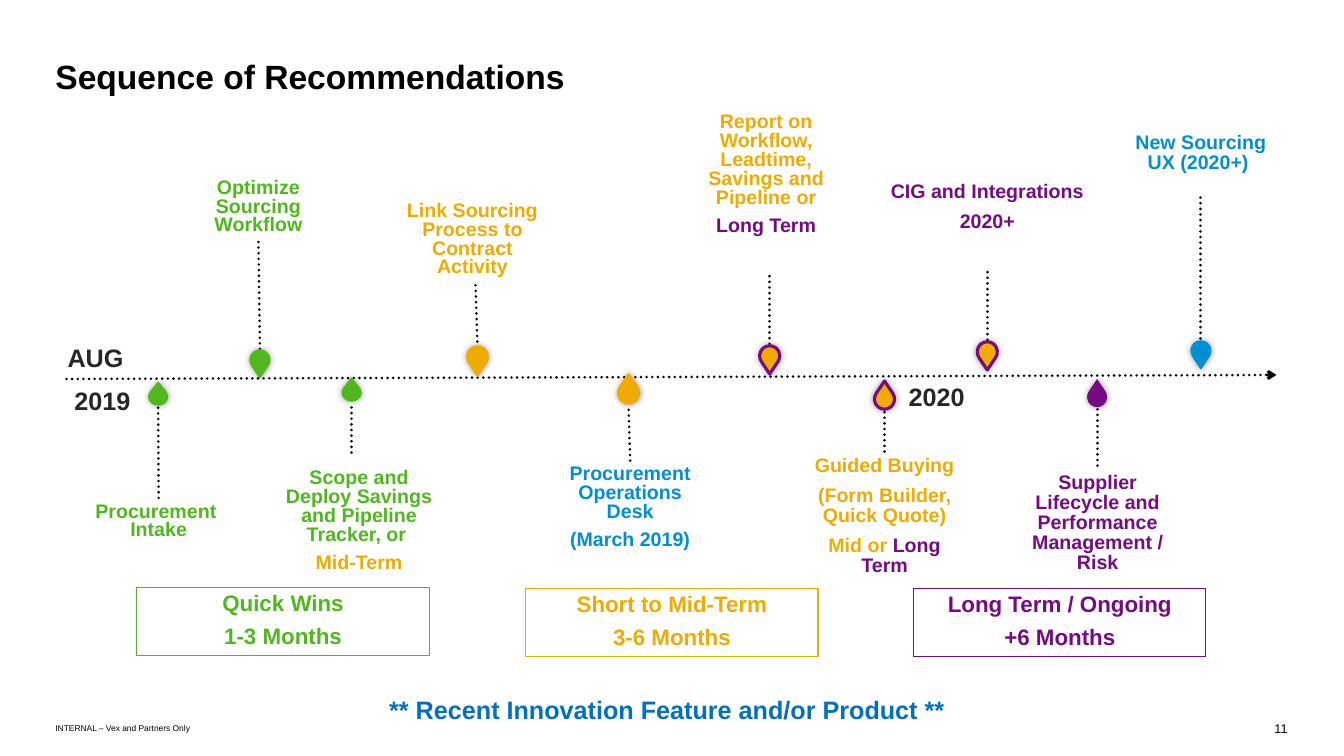
import math
from dataclasses import dataclass

from lxml import etree
from pptx import Presentation, util as u
from pptx.dml.color import RGBColor
from pptx.enum import dml, shapes, text
from pptx.oxml.ns import qn


@dataclass(frozen=True)
class Theme:
    font: str = "Arial"
    green: str = "4FB81C"
    gold: str = "F0AB00"
    purple: str = "760A85"
    blue: str = "008FD3"
    note: str = "0070C0"
    dark: str = "262626"
    black: str = "000000"
    white: str = "FFFFFF"
    title: int = 24
    heading: int = 18
    term: int = 16
    label: int = 14
    number: int = 9
    footer: int = 6


@dataclass
class Milestone:
    """A label box, the start of its dotted line (None: the box side), and its pin."""
    paragraphs: list
    box: tuple
    spacing: float
    start: tuple
    end: tuple
    tip: tuple
    size: tuple
    fill: str
    outline: str
    weight: float
    above: bool
    background: str = None


THEME = Theme()
GREEN, GOLD, PURPLE, BLUE = THEME.green, THEME.gold, THEME.purple, THEME.blue
PX = 9144  # 100 px to the inch
LARGE, SMALL = (20, 28), (19, 23)
INSET = (10, 5, 10, 5)
NO_INSET = (0, 0, 0, 0)

MILESTONES = [
    Milestone([[("Optimize Sourcing Workflow", GREEN)]], (190, 173, 133, 67), 0.8,
              None, (258, 347), (258, 375), LARGE, GREEN, GREEN, 0.75, True),
    Milestone([[("Link Sourcing Process to Contract Activity", GOLD)]], (394, 196, 150, 116), 0.8,
              (472, 283), (474, 344), (474, 372), LARGE, GOLD, GOLD, 2, True),
    Milestone([[("Report on Workflow, Leadtime, Savings and Pipeline or", GOLD)],
               [("Long Term", PURPLE)]], (682, 108, 157, 166), 0.8,
              (764, 274), (764, 343), (764, 371), LARGE, GOLD, PURPLE, 2.25, True, THEME.white),
    Milestone([[("CIG and Integrations", PURPLE)], [("2020+", PURPLE)]], (854, 176, 252, 94), 0.85,
              None, (980, 339), (980, 367), LARGE, GOLD, PURPLE, 2.25, True),
    Milestone([[("New Sourcing UX (2020+) ", BLUE)]], (1110, 128, 164, 50), 0.85,
              (1192, 196), (1192, 336), (1192, 366), LARGE, BLUE, BLUE, 0.75, True),
    Milestone([[("Procurement \vIntake", GREEN)]], (72, 494, 171, 78), 0.8,
              None, (157, 402), (157, 379), SMALL, GREEN, GREEN, 0.75, False),
    Milestone([[("Scope and Deploy Savings and Pipeline Tracker, or ", GREEN)],
               [("Mid-Term", GOLD)]], (273, 461, 167, 116), 0.8,
              (349, 449), (349, 402), (349, 375), SMALL, GREEN, GREEN, 0.75, False),
    Milestone([[("Procurement Operations Desk", BLUE)], [("(March 2019)", BLUE)]],
              (542, 457, 167, 128), 0.8,
              None, (624, 406), (624, 372), LARGE, GOLD, GOLD, 2.25, False),
    Milestone([[("Guided Buying", GOLD)], [("(Form Builder, Quick Quote)", GOLD)],
               [("Mid or ", GOLD), ("Long Term", PURPLE)]], (797, 448, 162, 134), 0.85,
              None, (878, 406), (878, 378), LARGE, GOLD, PURPLE, 2.25, False),
    Milestone([[("Supplier Lifecycle and Performance Management / Risk", PURPLE)]],
              (1004, 465, 171, 110), 0.85,
              (1089, 462), (1089, 406), (1089, 376), LARGE, PURPLE, None, 0, False),
]
TERMS = [("Quick Wins", "1-3 Months", GREEN, (136, 583)),
         ("Short to Mid-Term", "3-6 Months", GOLD, (522, 584)),
         ("Long Term / Ongoing", "+6 Months", PURPLE, (907, 584))]
TERM_SIZE = (290, 67)


def px(*values):
    return [u.Emu(round(value * PX)) for value in values]


def rgb(value):
    return RGBColor.from_string(value)


def set_half_line_before(paragraph):
    paragraph.space_before = u.Pt(0)
    before = paragraph._p.pPr.find(qn("a:spcBef"))
    before.remove(before[0])
    etree.SubElement(before, qn("a:spcPct"), val="50000")


def write(shape, paragraphs, size=THEME.label, bold=True, aligns=("CENTER",), spacing=1.0,
          anchor="TOP", inset=INSET, wrap=True):
    """Fill a shape with paragraphs, each a list of (text, colour) runs."""
    frame = shape.text_frame
    frame.word_wrap = wrap
    frame.auto_size = text.MSO_AUTO_SIZE.NONE
    frame.vertical_anchor = text.MSO_ANCHOR[anchor]
    frame.margin_left, frame.margin_top, frame.margin_right, frame.margin_bottom = px(*inset)
    for index, runs in enumerate(paragraphs):
        paragraph = frame.add_paragraph() if index else frame.paragraphs[0]
        paragraph.alignment = text.PP_ALIGN[aligns[index % len(aligns)]]
        paragraph.line_spacing = spacing
        set_half_line_before(paragraph)
        for words, color in runs:
            for position, line in enumerate(words.split("\v")):
                if position:
                    paragraph.add_line_break()
                run = paragraph.add_run()
                run.text = line
                run.font.name, run.font.size, run.font.bold = THEME.font, u.Pt(size), bold
                run.font.color.rgb = rgb(color)


def add_label(slide, box, paragraphs, **style):
    shape = slide.shapes.add_textbox(*px(*box))
    write(shape, paragraphs, **style)
    return shape


def add_box(slide, box, paragraphs, fill=None, outline=None, **style):
    shape = slide.shapes.add_shape(shapes.MSO_SHAPE.RECTANGLE, *px(*box))
    paint(shape, fill, outline, 0.75)
    write(shape, paragraphs, **style)
    return shape


def paint(shape, fill, outline, weight):
    shape.shadow.inherit = False
    if fill:
        shape.fill.solid()
        shape.fill.fore_color.rgb = rgb(fill)
    else:
        shape.fill.background()
    if outline:
        shape.line.color.rgb = rgb(outline)
        shape.line.width = u.Pt(weight)
    else:
        shape.line.fill.background()


def add_dotted_line(slide, start, end, arrow=False):
    line = slide.shapes.add_connector(shapes.MSO_CONNECTOR.STRAIGHT, *px(*start, *end))
    line.line.color.rgb = rgb(THEME.black)
    line.line.width = u.Pt(2)
    line.line.dash_style = dml.MSO_LINE.ROUND_DOT
    outline = line.line._get_or_add_ln()
    outline.set("cap", "rnd")
    if arrow:
        etree.SubElement(outline, qn("a:tailEnd"), type="arrow")
    etree.SubElement(line._element.spPr, qn("a:effectLst"))
    return line


def add_pin(slide, milestone):
    """Draw a drop: a circle with two tangents that meet at the tip."""
    (x, y), (width, height) = milestone.tip, milestone.size
    direction = -1 if milestone.above else 1
    center, radius = 0.64, 0.36  # shares of the height
    tangent = math.acos(radius / center)
    steps = 12
    points = []
    for step in range(steps + 1):
        angle = tangent + (2 * math.pi - 2 * tangent) * step / steps
        points.append(px(x + width / 2 * math.sin(angle),
                         y + direction * height * (center - radius * math.cos(angle))))
    builder = slide.shapes.build_freeform(*px(x, y))
    builder.add_line_segments(points, close=True)
    pin = builder.convert_to_shape()
    paint(pin, milestone.fill, milestone.outline, milestone.weight)
    effects = pin._element.spPr.find(qn("a:effectLst"))
    shadow = etree.SubElement(effects, qn("a:outerShdw"), blurRad=str(u.Pt(5)), dist="0", dir="0")
    color = etree.SubElement(shadow, qn("a:srgbClr"), val=THEME.black)
    etree.SubElement(color, qn("a:alpha"), val="40000")


def add_milestone(slide, milestone):
    style = dict(spacing=milestone.spacing)
    if milestone.background:
        label = add_box(slide, milestone.box, milestone.paragraphs,
                        fill=milestone.background, **style)
    else:
        label = add_label(slide, milestone.box, milestone.paragraphs, **style)
    line = add_dotted_line(slide, milestone.start or milestone.end, milestone.end)
    if milestone.start is None:
        line.begin_connect(label, 2 if milestone.above else 0)
    add_pin(slide, milestone)


def main():
    presentation = Presentation()
    presentation.slide_width, presentation.slide_height = px(1334, 750)
    slide = presentation.slides.add_slide(presentation.slide_layouts[5])

    title = slide.shapes.title
    title.left, title.top, title.width, title.height = px(55, 55, 1223, 40)
    write(title, [[("Sequence of Recommendations", THEME.black)]], size=THEME.title,
          aligns=("LEFT",), inset=NO_INSET)

    year = dict(fill=THEME.white, size=THEME.heading, anchor="MIDDLE", inset=(0, 8, 0, 8))
    add_box(slide, (67, 360, 69, 31), [[("AUG", THEME.dark)], [("2019", THEME.dark)]],
            aligns=("LEFT", "CENTER"), **year)
    add_dotted_line(slide, (66, 376), (1267, 372), arrow=True)
    add_box(slide, (902, 378, 66, 31), [[("2020", THEME.dark)]], aligns=("LEFT",), **year)

    for milestone in MILESTONES:
        add_milestone(slide, milestone)

    for name, months, color, corner in TERMS:
        add_box(slide, corner + TERM_SIZE, [[(name, color)], [(months, color)]], outline=color,
                size=THEME.term, spacing=0.8, anchor="MIDDLE")

    add_label(slide, (56, 689, 1212, 30),
              [[("** Recent Innovation Feature and/or Product **", THEME.note)]],
              size=THEME.heading, inset=NO_INSET)
    add_label(slide, (55, 715, 1111, 15), [[("INTERNAL – Vex and Partners Only", THEME.black)]],
              size=THEME.footer, bold=False, aligns=("LEFT",), anchor="MIDDLE", inset=NO_INSET)
    add_label(slide, (1263, 715, 15, 15), [[("11", THEME.black)]], size=THEME.number,
              bold=False, aligns=("RIGHT",), inset=NO_INSET, wrap=False)
    presentation.save("out.pptx")


if __name__ == "__main__":
    main()
